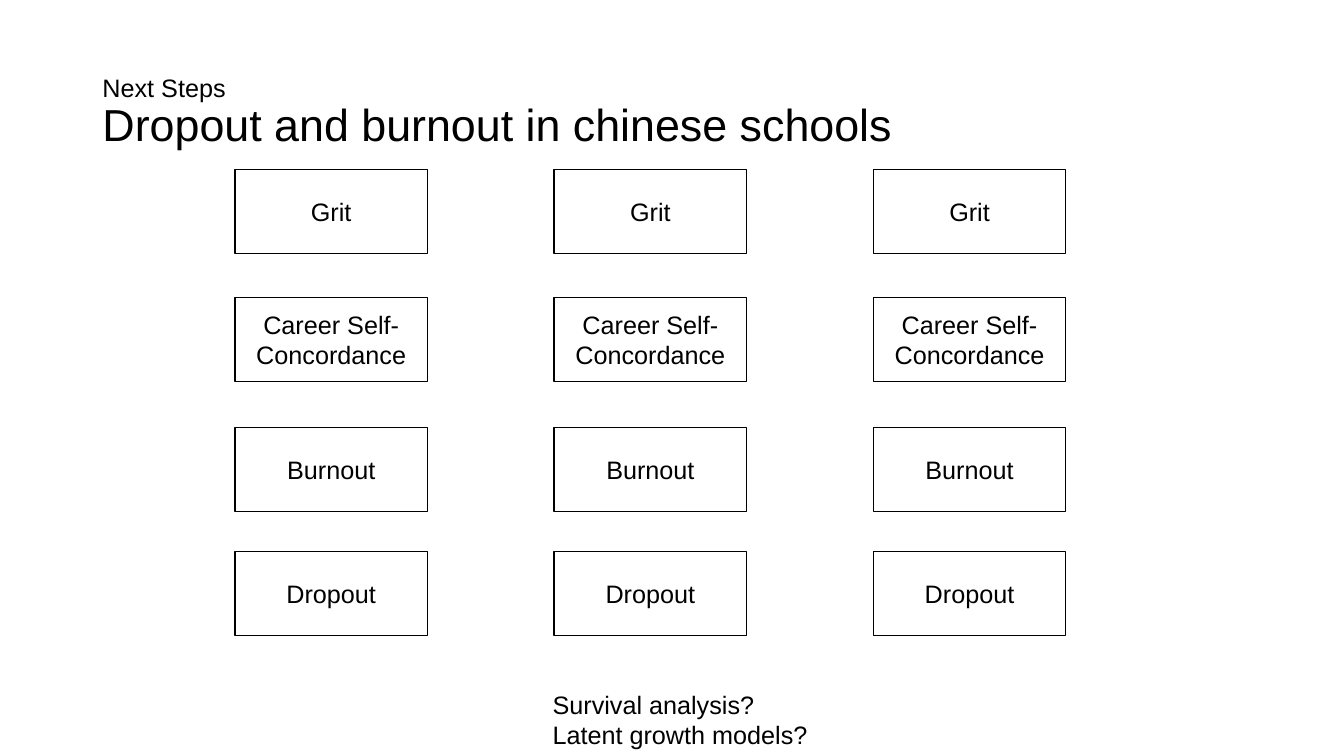
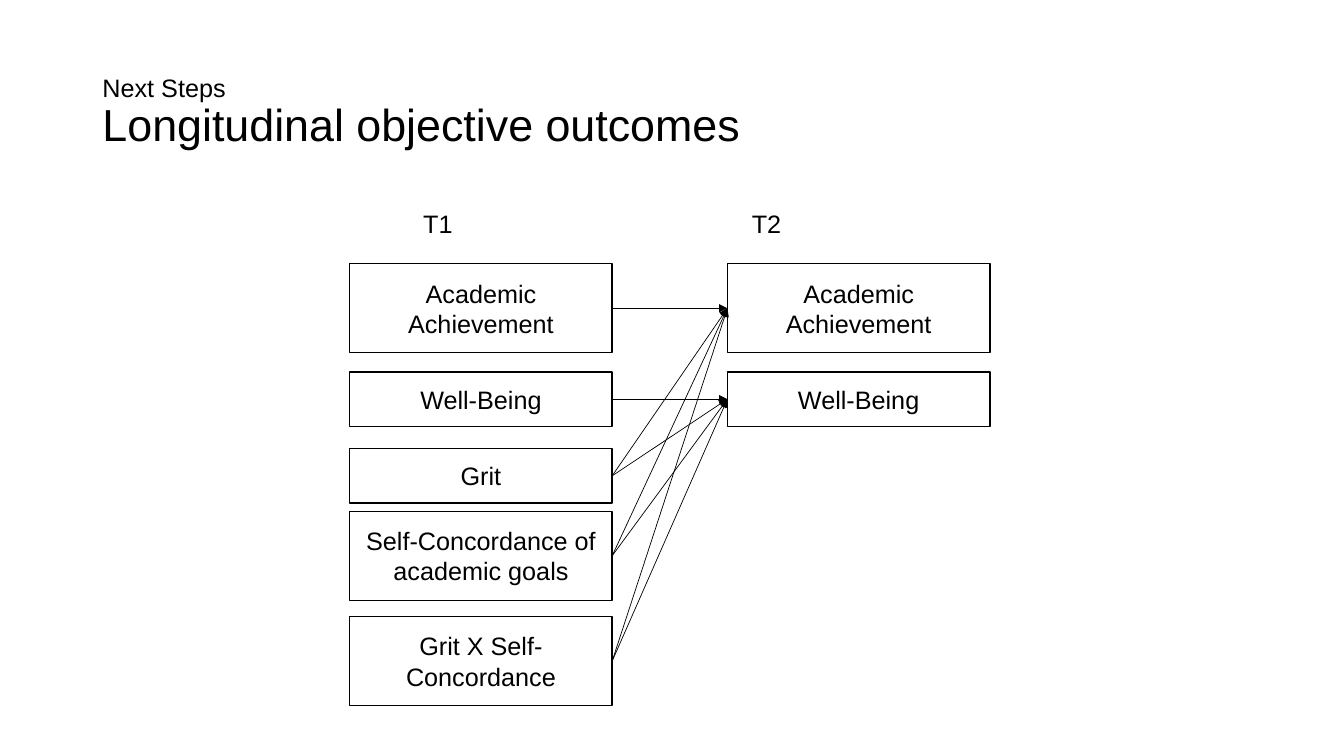
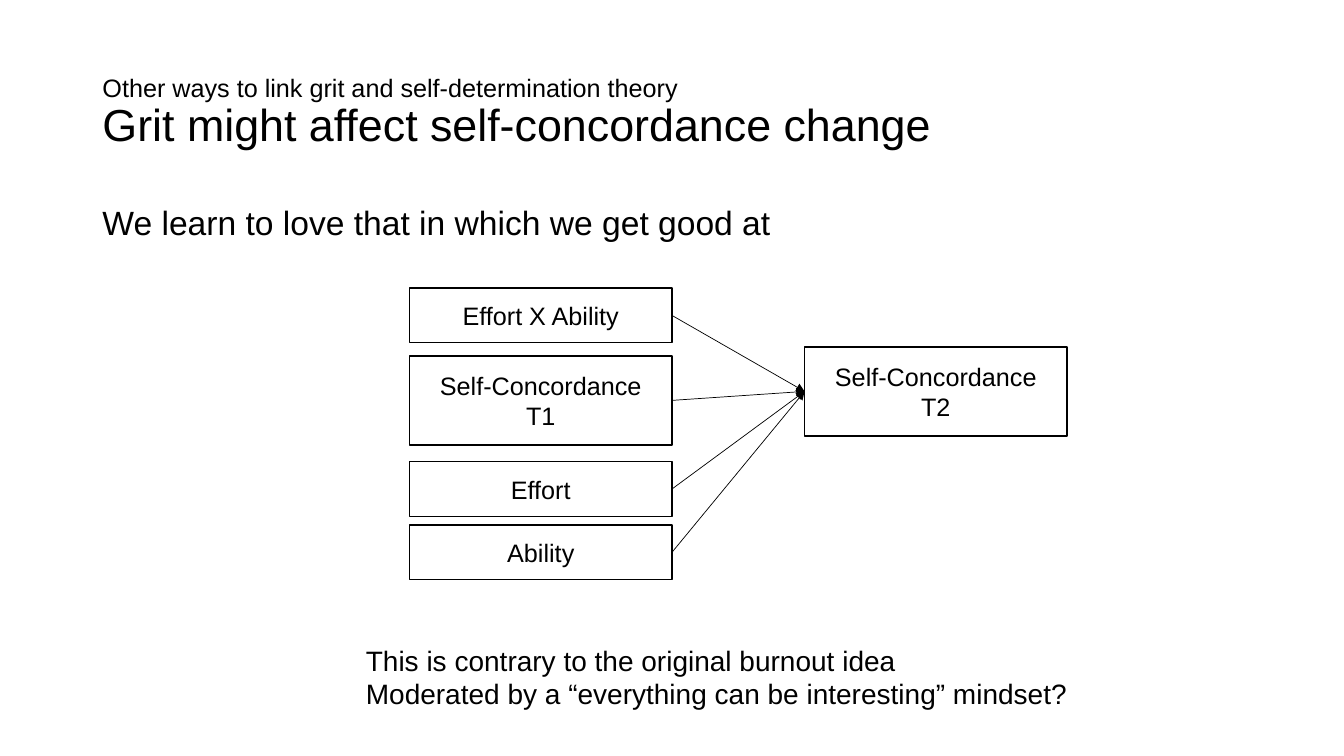
from lxml import etree
from pptx import Presentation
from pptx.dml.color import RGBColor
from pptx.enum.shapes import MSO_CONNECTOR, MSO_SHAPE
from pptx.enum.text import MSO_ANCHOR, MSO_AUTO_SIZE, PP_ALIGN
from pptx.oxml.ns import qn
from pptx.util import Pt

STRAIGHT = MSO_CONNECTOR.STRAIGHT
RECTANGLE = MSO_SHAPE.RECTANGLE
MIDDLE = MSO_ANCHOR.MIDDLE
TOP = MSO_ANCHOR.TOP
NO_AUTOFIT = MSO_AUTO_SIZE.NONE
LEFT = PP_ALIGN.LEFT
CENTER = PP_ALIGN.CENTER

# Shared style
FONT = "Arial"
INK = "000000"
PAPER = "FFFFFF"
TITLE_SIZE, BODY_SIZE, NOTE_SIZE, TEXT_SIZE = 32, 24, 20, 18
TITLE_BOX = (66, 28.8, 828, 104.4)
TITLE_ONLY, TITLE_AND_BODY = 5, 1
LEFT_SITE, RIGHT_SITE = 1, 3

# Boxes of the path diagrams: one or two lines of text
NODE_WIDTH, SHORT, TALL = 187.5, 39, 63.6


def color(hex_string):
    return RGBColor.from_string(hex_string)


def place(shape, box):
    shape.left, shape.top, shape.width, shape.height = map(Pt, box)


def format_runs(paragraph, size):
    for run in paragraph.runs:
        run.font.name = FONT
        run.font.size = Pt(size)
        run.font.color.rgb = color(INK)


def add_titled_slide(presentation, layout, kicker, title):
    """Add a slide whose title has a small line above the main one."""
    slide = presentation.slides.add_slide(presentation.slide_layouts[layout])
    shape = slide.shapes.title
    place(shape, TITLE_BOX)
    frame = shape.text_frame
    frame.auto_size = NO_AUTOFIT
    frame.vertical_anchor = MIDDLE
    frame.text = f"{kicker}\v{title}"
    paragraph = frame.paragraphs[0]
    paragraph.alignment = LEFT
    paragraph.line_spacing = 0.9
    format_runs(paragraph, TITLE_SIZE)
    paragraph.runs[0].font.size = Pt(TEXT_SIZE)
    # The line break takes the size of the small line
    line_break = paragraph._p.find(qn("a:br"))
    etree.SubElement(line_break, qn("a:rPr"), sz=str(TEXT_SIZE * 100))
    return slide


def fill_body(slide, box, text):
    shape = slide.placeholders[1]
    place(shape, box)
    frame = shape.text_frame
    frame.auto_size = NO_AUTOFIT
    frame.vertical_anchor = TOP
    frame.text = text
    paragraph = frame.paragraphs[0]
    properties = paragraph._p.get_or_add_pPr()
    properties.set("marL", "0")
    properties.set("indent", "0")
    etree.SubElement(properties, qn("a:buNone"))
    paragraph.line_spacing = 0.9
    paragraph.space_before = Pt(0)
    format_runs(paragraph, BODY_SIZE)


def add_label(slide, box, text, size=TEXT_SIZE):
    shape = slide.shapes.add_textbox(*map(Pt, box))
    shape.text_frame.word_wrap = False
    shape.text_frame.text = text
    for paragraph in shape.text_frame.paragraphs:
        format_runs(paragraph, size)


def add_node(slide, box, text):
    """Add an outlined rectangle with centred text."""
    shape = slide.shapes.add_shape(RECTANGLE, *map(Pt, box))
    shape.shadow.inherit = False
    shape.fill.solid()
    shape.fill.fore_color.rgb = color(PAPER)
    shape.line.color.rgb = color(INK)
    shape.line.width = Pt(1)
    frame = shape.text_frame
    frame.word_wrap = True
    frame.vertical_anchor = MIDDLE
    frame.text = text
    for paragraph in frame.paragraphs:
        paragraph.alignment = CENTER
        format_runs(paragraph, TEXT_SIZE)
    return shape


def add_arrow(slide, source, target):
    connector = slide.shapes.add_connector(STRAIGHT, 0, 0, 0, 0)
    connector.begin_connect(source, RIGHT_SITE)
    connector.end_connect(target, LEFT_SITE)
    connector.line.color.rgb = color(INK)
    connector.line.width = Pt(0.5)
    etree.SubElement(connector.line._get_or_add_ln(), qn("a:tailEnd"), type="triangle")
    etree.SubElement(connector._element.spPr, qn("a:effectLst"))


def add_variable_grid(slide, box, columns, rows):
    """Repeat the rows, given as (text, offset from the top), in equal columns."""
    left, top, width, height = box
    node_width, node_height = 137.5, 60
    pitch = (width - node_width) / (columns - 1)
    for column in range(columns):
        for text, offset in rows:
            node_box = (left + column * pitch, top + offset, node_width, node_height)
            add_node(slide, node_box, text)


def add_path_diagram(slide, box, predictors, outcomes, links):
    """Link predictors on the left edge to outcomes on the right edge.

    Nodes are (text, offset from the top, height); links are index pairs.
    """
    left, top, width = box

    def add_column(column_left, nodes):
        return [add_node(slide, (column_left, top + offset, NODE_WIDTH, height), text)
                for text, offset, height in nodes]

    sources = add_column(left, predictors)
    targets = add_column(left + width - NODE_WIDTH, outcomes)
    for source, target in links:
        add_arrow(slide, sources[source], targets[target])


def build_dropout_slide(presentation):
    slide = add_titled_slide(presentation, TITLE_ONLY, "Next Steps",
                             "Dropout and burnout in chinese schools")
    rows = [("Grit", 0), ("Career Self-Concordance", 91.4),
            ("Burnout", 184.5), ("Dropout", 272.8)]
    add_variable_grid(slide, (167.8, 121, 593.5, 332.8), 3, rows)
    add_label(slide, (387.6, 488.9, 198, 51), "Survival analysis?\nLatent growth models?")


def build_outcomes_slide(presentation):
    slide = add_titled_slide(presentation, TITLE_ONLY, "Next Steps",
                             "Longitudinal objective outcomes")
    # Time points
    for left, text in ((295.2, "T1"), (530, "T2")):
        add_label(slide, (left, 145.6, 36, 29), text)
    # Both outcomes are measured at both times
    outcomes = [("Academic Achievement", 0, TALL), ("Well-Being", 77.2, SHORT)]
    predictors = outcomes + [("Grit", 132, SHORT),
                             ("Self-Concordance of academic goals", 176.8, TALL),
                             ("Grit X Self-Concordance", 252, TALL)]
    links = [(0, 0), (1, 1)] + [(source, target) for source in (2, 3, 4)
                                for target in (0, 1)]
    add_path_diagram(slide, (249.8, 188.4, 457.3), predictors, outcomes, links)


def build_change_slide(presentation):
    slide = add_titled_slide(presentation, TITLE_AND_BODY,
                             "Other ways to link grit and self-determination theory",
                             "Grit might affect self-concordance change")
    fill_body(slide, (66, 144, 828, 39), "We learn to love that in which we get good at")
    predictors = [("Effort X Ability", 0, SHORT), ("Self-Concordance\nT1", 48.4, TALL),
                  ("Effort", 124, SHORT), ("Ability", 169.2, SHORT)]
    outcomes = [("Self-Concordance\nT2", 42, TALL)]
    links = [(source, 0) for source in range(len(predictors))]
    add_path_diagram(slide, (292.5, 205.8, 469.7), predictors, outcomes, links)
    add_label(slide, (254.2, 455.8, 519, 55.4),
              "This is contrary to the original burnout idea\n"
              "Moderated by a “everything can be interesting” mindset?", NOTE_SIZE)


def main():
    presentation = Presentation()
    presentation.slide_width = Pt(960)
    presentation.slide_height = Pt(540)
    build_dropout_slide(presentation)
    build_outcomes_slide(presentation)
    build_change_slide(presentation)
    presentation.save("out.pptx")


if __name__ == "__main__":
    main()
